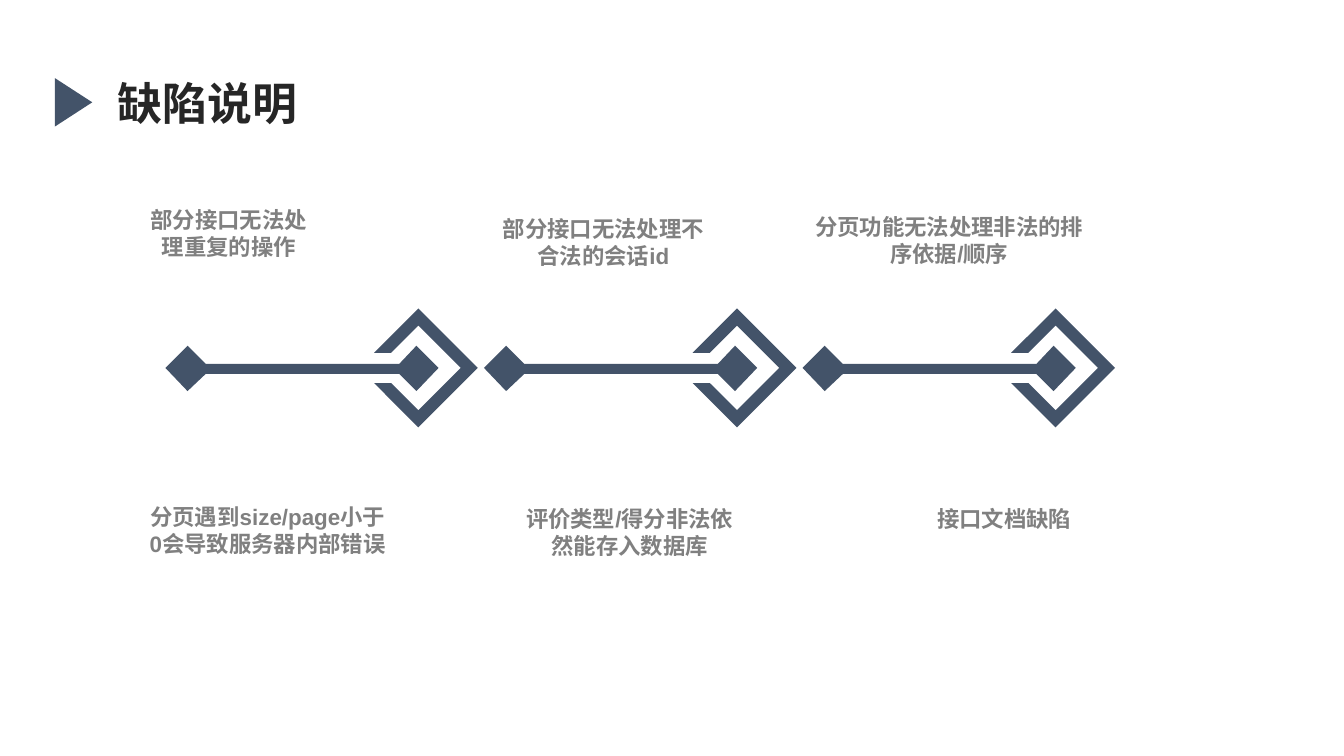
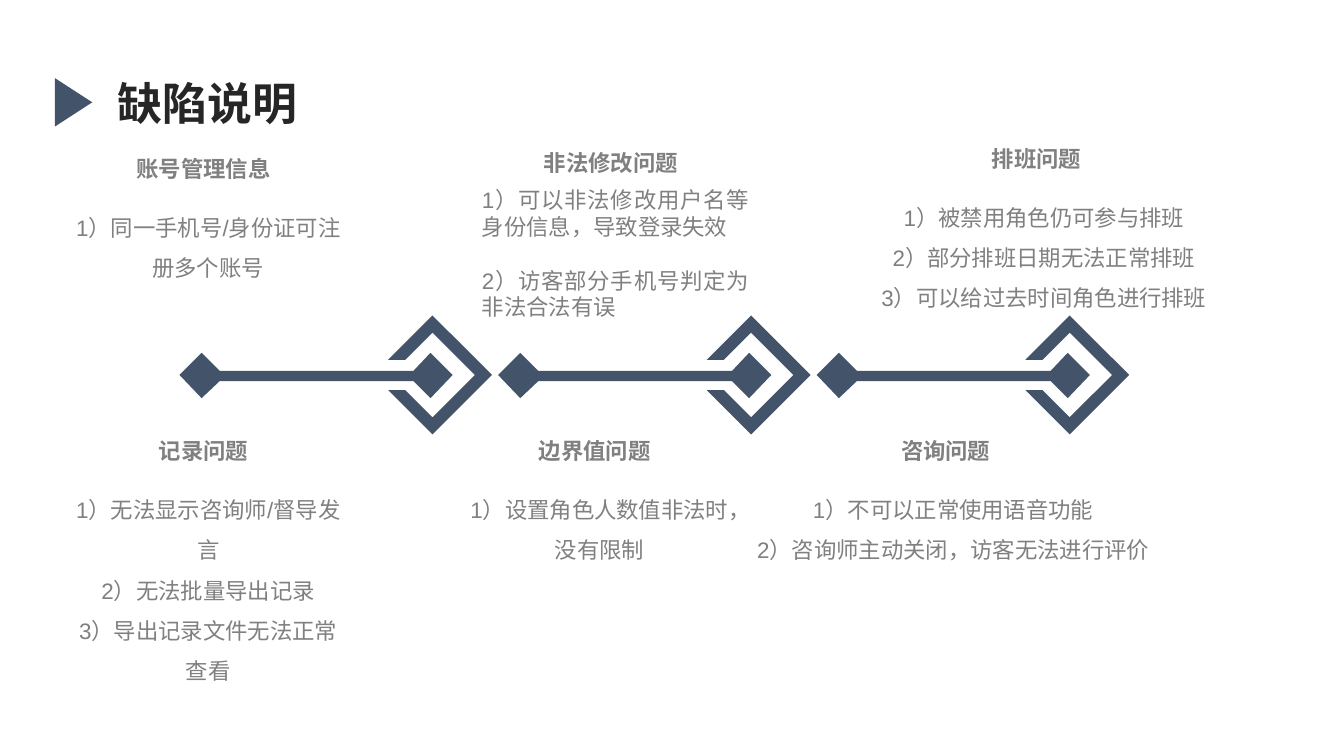
import pptx
import pptx.util
import pptx.dml.color
import pptx.enum.lang
import pptx.enum.shapes
import pptx.enum.text

Inches = pptx.util.Inches
ALIGN = pptx.enum.text.PP_ALIGN

# Shared style
FONT = "Arial"
NAVY = "435369"
TITLE_COLOR = "262626"
TEXT_COLOR = "808080"
TITLE = "缺陷说明"

# Timeline geometry, measured from the top left corner of one step
STEP_COUNT = 3
STEP_PITCH = 3.16
DUMBBELL = [(2.49, 0.82), (2.71, 0.59), (2.49, 0.37), (2.32, 0.55), (0.4, 0.55),
            (0.22, 0.37), (0, 0.59), (0.22, 0.82), (0.4, 0.65), (2.32, 0.65)]
BRACKET = [(2.51, 0), (2.07, 0.44), (2.24, 0.44), (2.51, 0.17), (2.93, 0.59),
           (2.51, 1.01), (2.24, 0.74), (2.07, 0.74), (2.51, 1.18), (3.1, 0.59)]

# Topic layouts: heading width, body width, heading offset from the body's left
NARROW = (1.86, 2.85, 0.45)
WIDE = (2.94, 4.51, 0.71)

# Slide 1: left, top, width, height, text
DEFECTS = [
    (1.34, 2, 1.86, 0.64, "部分接口无法处理重复的操作"),
    (4.87, 2.09, 2.23, 0.64, "部分接口无法处理不合法的会话id"),
    (7.96, 2.07, 2.91, 0.64, "分页功能无法处理非法的排序依据/顺序"),
    (1.34, 4.94, 2.63, 0.64, "分页遇到size/page小于0会导致服务器内部错误"),
    (5.1, 4.96, 2.29, 0.64, "评价类型/得分非法依然能存入数据库"),
    (9.03, 4.96, 1.86, 0.37, "接口文档缺陷"),
]

# Slide 2: left, top, layout, heading, body paragraphs
CENTERED_TOPICS = [
    (0.64, 1.49, NARROW, "账号管理信息", ["1）同一手机号/身份证可注册多个账号"]),
    (8.1, 1.39, WIDE, "排班问题",
     ["1）被禁用角色仍可参与排班", "2）部分排班日期无法正常排班",
      "3）可以给过去时间角色进行排班"]),
    (0.64, 4.29, NARROW, "记录问题",
     ["1）无法显示咨询师/督导发言", "2）无法批量导出记录",
      "3）导出记录文件无法正常查看"]),
    (4.52, 4.29, NARROW, "边界值问题", ["1）设置角色人数值非法时，没有限制"]),
    (7.2, 4.29, WIDE, "咨询问题",
     ["1）不可以正常使用语音功能", "2）咨询师主动关闭，访客无法进行评价"]),
]
JUSTIFIED_TOPIC = (4.68, 1.43, NARROW, "非法修改问题",
                   ["1）可以非法修改用户名等身份信息，导致登录失效",
                    "2）访客部分手机号判定为非法合法有误"])


def rgb(color):
    return pptx.dml.color.RGBColor.from_string(color)


def paint(shape, color):
    shape.shadow.inherit = False
    shape.fill.solid()
    shape.fill.fore_color.rgb = rgb(color)
    shape.line.fill.background()


def add_text(slide, left, top, width, height, paragraphs, *, size=16, bold=False,
             color=TEXT_COLOR, align=ALIGN.CENTER, line_spacing=None, gap=0):
    """Add a text box; gap is the space in points between paragraphs."""
    box = slide.shapes.add_textbox(Inches(left), Inches(top), Inches(width), Inches(height))
    frame = box.text_frame
    frame.word_wrap = True
    frame.auto_size = pptx.enum.text.MSO_AUTO_SIZE.SHAPE_TO_FIT_TEXT
    for index, text in enumerate(paragraphs):
        paragraph = frame.add_paragraph() if index else frame.paragraphs[0]
        paragraph.alignment = align
        if line_spacing:
            paragraph.line_spacing = line_spacing
        if index and gap:
            paragraph.space_before = pptx.util.Pt(gap)
        run = paragraph.add_run()
        run.text = text
        run.font.name = FONT
        run.font.size = pptx.util.Pt(size)
        run.font.bold = bold
        run.font.color.rgb = rgb(color)
        run.font.language_id = pptx.enum.lang.MSO_LANGUAGE_ID.SIMPLIFIED_CHINESE


def add_outline(slide, left, top, points):
    corners = [(Inches(left + x), Inches(top + y)) for x, y in points]
    builder = slide.shapes.build_freeform(*corners[0], scale=1.0)
    builder.add_line_segments(corners[1:], close=True)
    paint(builder.convert_to_shape(), NAVY)


def add_title(slide, left, top):
    marker = slide.shapes.add_shape(
        pptx.enum.shapes.MSO_SHAPE.ISOSCELES_TRIANGLE,
        Inches(left), Inches(top + 0.13), Inches(0.48), Inches(0.37))
    marker.rotation = 90
    paint(marker, NAVY)
    add_text(slide, left + 0.58, top, 3.13, 0.64, [TITLE], size=32, bold=True,
             color=TITLE_COLOR, align=ALIGN.LEFT)


def add_timeline(slide, left, top):
    for step in range(STEP_COUNT):
        for points in (DUMBBELL, BRACKET):
            add_outline(slide, left + step * STEP_PITCH, top, points)


def add_topic(slide, left, top, layout, heading, items, *, body_offset=0.45, **body_format):
    heading_width, body_width, heading_offset = layout
    add_text(slide, left + heading_offset, top, heading_width, 0.37, [heading], bold=True)
    add_text(slide, left, top + body_offset, body_width, 0.06 + 0.4 * len(items),
             items, **body_format)


def add_content_slide(presentation, timeline_left, timeline_top):
    slide = presentation.slides.add_slide(presentation.slide_layouts[6])
    add_title(slide, 0.49, 0.7)
    add_timeline(slide, timeline_left, timeline_top)
    return slide


def add_defects_slide(presentation):
    slide = add_content_slide(presentation, 1.64, 3.06)
    for left, top, width, height, text in DEFECTS:
        add_text(slide, left, top, width, height, [text], bold=True)


def add_topics_slide(presentation):
    slide = add_content_slide(presentation, 1.78, 3.13)
    for topic in CENTERED_TOPICS:
        add_topic(slide, *topic, line_spacing=1.5)
    add_topic(slide, *JUSTIFIED_TOPIC, body_offset=0.37, align=ALIGN.JUSTIFY, gap=19)


def main():
    presentation = pptx.Presentation()
    presentation.slide_width = Inches(13.33)
    presentation.slide_height = Inches(7.5)
    add_defects_slide(presentation)
    add_topics_slide(presentation)
    presentation.save("out.pptx")


if __name__ == "__main__":
    main()
